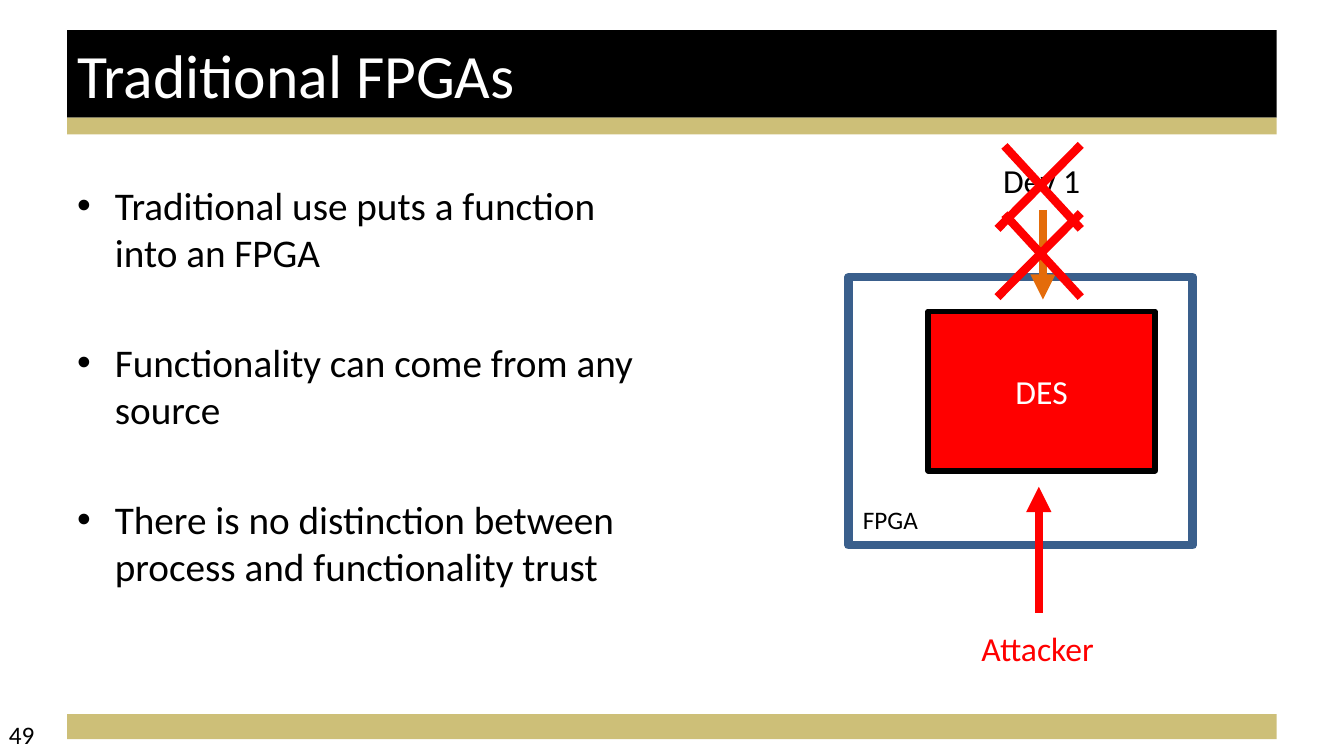
from lxml.etree import SubElement
from pptx import Presentation
from pptx.dml.color import RGBColor
from pptx.enum.shapes import MSO_CONNECTOR as CONNECTOR, MSO_SHAPE as SHAPE
from pptx.enum.text import MSO_ANCHOR as ANCHOR, PP_ALIGN as ALIGN
from pptx.oxml.ns import qn
from pptx.util import Pt

BLACK, WHITE, GOLD = "000000", "FFFFFF", "CDBF78"
RED, ORANGE, BLUE = "FF0000", "E46C0A", "3A5F8C"
THICK = 6
BULLETS = [
    "Traditional use puts a function into an FPGA",
    "Functionality can come from any source",
    "There is no distinction between process and functionality trust",
]


def paint(color_format, color):
    color_format.rgb = RGBColor.from_string(color)


def style(paragraph, size, color, align=ALIGN.LEFT):
    paragraph.alignment = align
    font = paragraph.font
    font.name, font.size = "Calibri", Pt(size)
    paint(font.color, color)


def add_box(slide, box, fill=None, border=None, border_width=THICK):
    rect = slide.shapes.add_shape(SHAPE.RECTANGLE, *map(Pt, box))
    rect.shadow.inherit = False
    if fill:
        rect.fill.solid()
        paint(rect.fill.fore_color, fill)
    else:
        rect.fill.background()
    if border:
        paint(rect.line.color, border)
        rect.line.width = Pt(border_width)
    else:
        rect.line.fill.background()
    return rect


def write(shape, text, size, color, align=ALIGN.LEFT, anchor=ANCHOR.TOP):
    frame = shape.text_frame
    frame.word_wrap = True
    frame.vertical_anchor = anchor
    frame.text = text
    style(frame.paragraphs[0], size, color, align)


def add_label(slide, box, text, size, color=BLACK, align=ALIGN.CENTER):
    write(slide.shapes.add_textbox(*map(Pt, box)), text, size, color, align)


def add_stroke(slide, start, end, color, arrow=False):
    stroke = slide.shapes.add_connector(CONNECTOR.STRAIGHT, *map(Pt, (*start, *end)))
    paint(stroke.line.color, color)
    stroke.line.width = Pt(THICK)
    if arrow:
        SubElement(stroke.line._get_or_add_ln(), qn("a:tailEnd"), type="triangle")
    SubElement(stroke._element.spPr, qn("a:effectLst"))


def add_cross(slide, left, top, size=60):
    right, bottom = left + size, top + size
    add_stroke(slide, (right - 0.5, top), (left, bottom), RED)
    add_stroke(slide, (left + 5, top + 0.75), (right - 0.5, bottom), RED)


def add_header(slide, left, top, width, height):
    bar_height = 62.4
    bar = add_box(slide, (left, top, width, bar_height), BLACK)
    write(bar, "Traditional FPGAs", 44, WHITE, anchor=ANCHOR.MIDDLE)
    add_box(slide, (left, top + bar_height, width, height - bar_height), GOLD)


def add_footer(slide, left, top, width, height):
    add_box(slide, (left, top, width, height), GOLD)
    add_label(slide, (left - 48.75, top, 224, 29), "49", 18, align=ALIGN.LEFT)


def add_bullets(slide, box):
    frame = slide.shapes.add_textbox(*map(Pt, box)).text_frame
    frame.word_wrap = True
    for index, sentence in enumerate(BULLETS):
        paragraph = frame.paragraphs[0] if index == 0 else frame.add_paragraph()
        paragraph.text = sentence
        props = paragraph._p.get_or_add_pPr()
        props.set("marL", str(Pt(27)))
        props.set("indent", str(Pt(-27)))
        if index:
            paragraph.space_before = Pt(45)
        SubElement(props, qn("a:buFont"), typeface="Arial")
        SubElement(props, qn("a:buChar"), char="•")
        style(paragraph, 28, BLACK)


def add_attack_diagram(slide, left, top, width, height):
    """Place the FPGA in the box, the developer above it and the attacker below."""
    bottom = top + height
    add_box(slide, (left, top, width, height), border=BLUE)
    add_label(slide, (left + 90.75, top - 87, 94.5, 36), "Dev 1", 24)
    dev_x, attacker_x = left + 139, left + 136
    add_stroke(slide, (dev_x, top - 48), (dev_x, top + 16), ORANGE, arrow=True)
    des = add_box(slide, (left + 57, top + 24.5, 162, 113.75), RED, BLACK, 4)
    write(des, "DES", 24, WHITE, ALIGN.CENTER, ANCHOR.MIDDLE)
    add_label(slide, (left + 3, bottom - 32.5, 54, 29), "FPGA", 18)
    for rise in (94.5, 45.75):
        add_cross(slide, left + 106.5, top - rise)
    add_label(slide, (left + 88, bottom + 55.5, 102.5, 36), "Attacker", 24, RED, ALIGN.LEFT)
    add_stroke(slide, (attacker_x, bottom + 48.25), (attacker_x, bottom - 41.75), RED, arrow=True)


def main():
    deck = Presentation()
    deck.slide_width, deck.slide_height = Pt(960), Pt(540)
    slide = deck.slides.add_slide(deck.slide_layouts[6])
    margin, content_width = 48, 864
    add_footer(slide, margin, 510, content_width, 18)
    add_header(slide, margin, 21.6, content_width, 74.4)
    add_bullets(slide, (margin, 126, 424, 356))
    add_attack_diagram(slide, 606, 198, 246, 191.5)
    deck.save("out.pptx")


if __name__ == "__main__":
    main()
